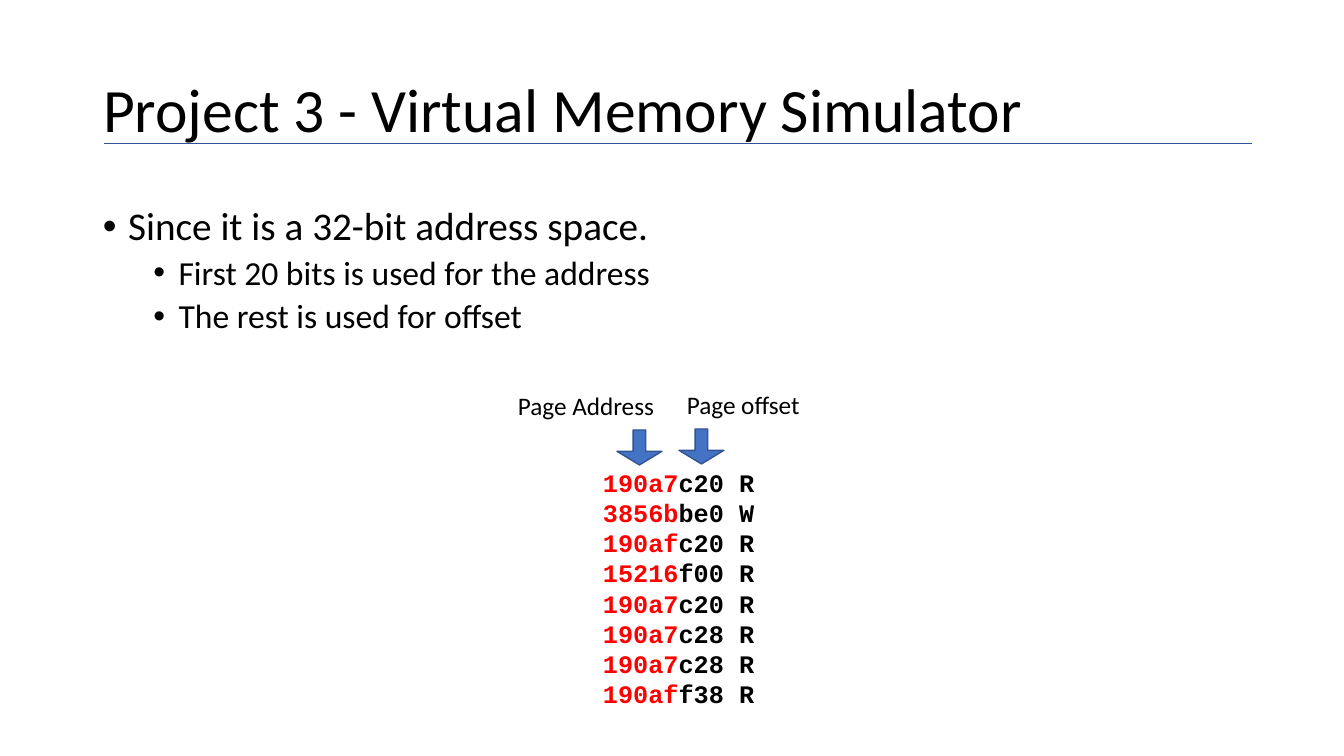
import pptx
import pptx.dml.color
import pptx.enum.shapes
import pptx.enum.text
import pptx.oxml.ns
import pptx.util
from lxml import etree

RGBColor = pptx.dml.color.RGBColor
BLACK = RGBColor(0x00, 0x00, 0x00)
RED = RGBColor(0xFF, 0x00, 0x00)
ARROW_FILL = RGBColor(0x44, 0x72, 0xC4)
ARROW_EDGE = RGBColor(0x32, 0x54, 0x91)
RULE_BLUE = RGBColor(0x2F, 0x55, 0x97)

PAGE_DIGITS = 5
ACCESSES = ["190a7c20 R", "3856bbe0 W", "190afc20 R", "15216f00 R",
            "190a7c20 R", "190a7c28 R", "190a7c28 R", "190aff38 R"]
POINTS = [(0, "Since it is a 32-bit address space."),
          (1, "First 20 bits is used for the address"),
          (1, "The rest is used for offset")]


def px(*lengths):
    """Turn whole pixels into a list of EMU lengths."""
    return [round(length * 914400 / 100.8) for length in lengths]


def add_run(paragraph, text, size, color=BLACK, font="Calibri", bold=False):
    """Append one formatted run to a paragraph."""
    run = paragraph.add_run()
    run.text = text
    run.font.name = font
    run.font.size = pptx.util.Pt(size)
    run.font.bold = bold
    run.font.color.rgb = color


def add_text_frame(slide, left, top, width, height):
    """Add a wrapping text box and return its text frame."""
    frame = slide.shapes.add_textbox(*px(left, top, width, height)).text_frame
    frame.word_wrap = True
    return frame


def paragraphs(frame, count):
    """Return the frame's first paragraph followed by new ones."""
    return [frame.paragraphs[0]] + [frame.add_paragraph() for _ in range(count - 1)]


def set_title(slide, text):
    """Place and format the title placeholder."""
    title = slide.shapes.title
    title.left, title.top, title.width, title.height = px(93, 40, 1159, 146)
    frame = title.text_frame
    frame.auto_size = pptx.enum.text.MSO_AUTO_SIZE.NONE
    frame.vertical_anchor = pptx.enum.text.MSO_ANCHOR.MIDDLE
    heading = frame.paragraphs[0]
    heading.alignment = pptx.enum.text.PP_ALIGN.LEFT
    heading.line_spacing = 0.9
    add_run(heading, text, 44)


def add_rule(slide, left, right, y):
    """Draw the thin line under the title."""
    rule = slide.shapes.add_connector(
        pptx.enum.shapes.MSO_CONNECTOR.STRAIGHT, *px(left, y, right, y))
    rule.line.color.rgb = RULE_BLUE
    rule.line.width = pptx.util.Pt(0.5)
    etree.SubElement(rule._element.spPr, pptx.oxml.ns.qn("a:effectLst"))


def add_bullets(slide, points):
    """Write the two-level bullet list."""
    frame = add_text_frame(slide, 93, 202, 1159, 176)
    for paragraph, (level, text) in zip(paragraphs(frame, len(points)), points):
        paragraph.level = level
        paragraph.line_spacing = 0.9
        paragraph.space_before = pptx.util.Pt(5 if level else 10)
        properties = paragraph._p.get_or_add_pPr()
        properties.set("marL", str(pptx.util.Inches(0.25 + 0.5 * level)))
        properties.set("indent", str(pptx.util.Inches(-0.25)))
        for tag, key, value in (("a:buFont", "typeface", "Arial"),
                                ("a:buChar", "char", "\u2022")):
            etree.SubElement(properties, pptx.oxml.ns.qn(tag)).set(key, value)
        add_run(paragraph, text, 24 if level else 28)


def add_trace(slide, accesses):
    """List the memory accesses with the page digits in red."""
    frame = add_text_frame(slide, 473, 462, 411, 254)
    for paragraph, access in zip(paragraphs(frame, len(accesses)), accesses):
        paragraph.alignment = pptx.enum.text.PP_ALIGN.CENTER
        for part, color in ((access[:PAGE_DIGITS], RED),
                            (access[PAGE_DIGITS:], BLACK)):
            add_run(paragraph, part, 18, color, "Courier New", True)


def add_pointer(slide, label, label_left, arrow_left, top):
    """Add a label and the down arrow below it."""
    frame = add_text_frame(slide, label_left, top, 217, 40)
    add_run(frame.paragraphs[0], label, 18)
    arrow = slide.shapes.add_shape(
        pptx.enum.shapes.MSO_SHAPE.DOWN_ARROW, *px(arrow_left, top + 45, 45, 35))
    arrow.adjustments[0], arrow.adjustments[1] = 0.28, 0.39
    arrow.shadow.inherit = False
    arrow.fill.solid()
    arrow.fill.fore_color.rgb = ARROW_FILL
    arrow.line.color.rgb = ARROW_EDGE
    arrow.line.width = pptx.util.Pt(1)


def main():
    """Build the slide and save it."""
    deck = pptx.Presentation()
    deck.slide_width, deck.slide_height = px(1344, 756)
    slide = deck.slides.add_slide(deck.slide_layouts[5])
    set_title(slide, "Project 3 - Virtual Memory Simulator")
    add_rule(slide, 104, 1252, 143)
    add_bullets(slide, POINTS)
    add_trace(slide, ACCESSES)
    add_pointer(slide, "Page Address", 508, 617, 385)
    add_pointer(slide, "Page offset", 677, 679, 384)
    deck.save("out.pptx")


main()
